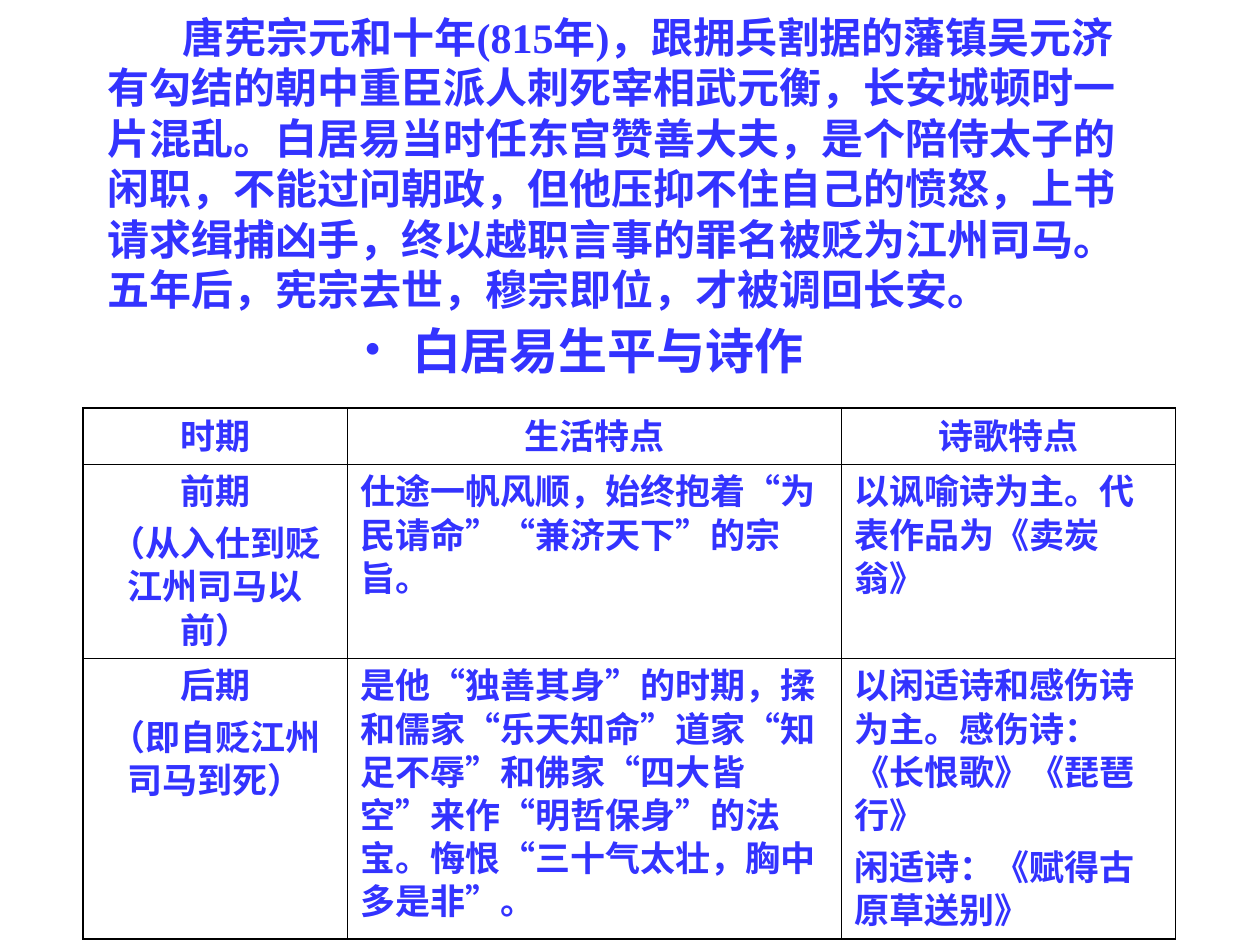
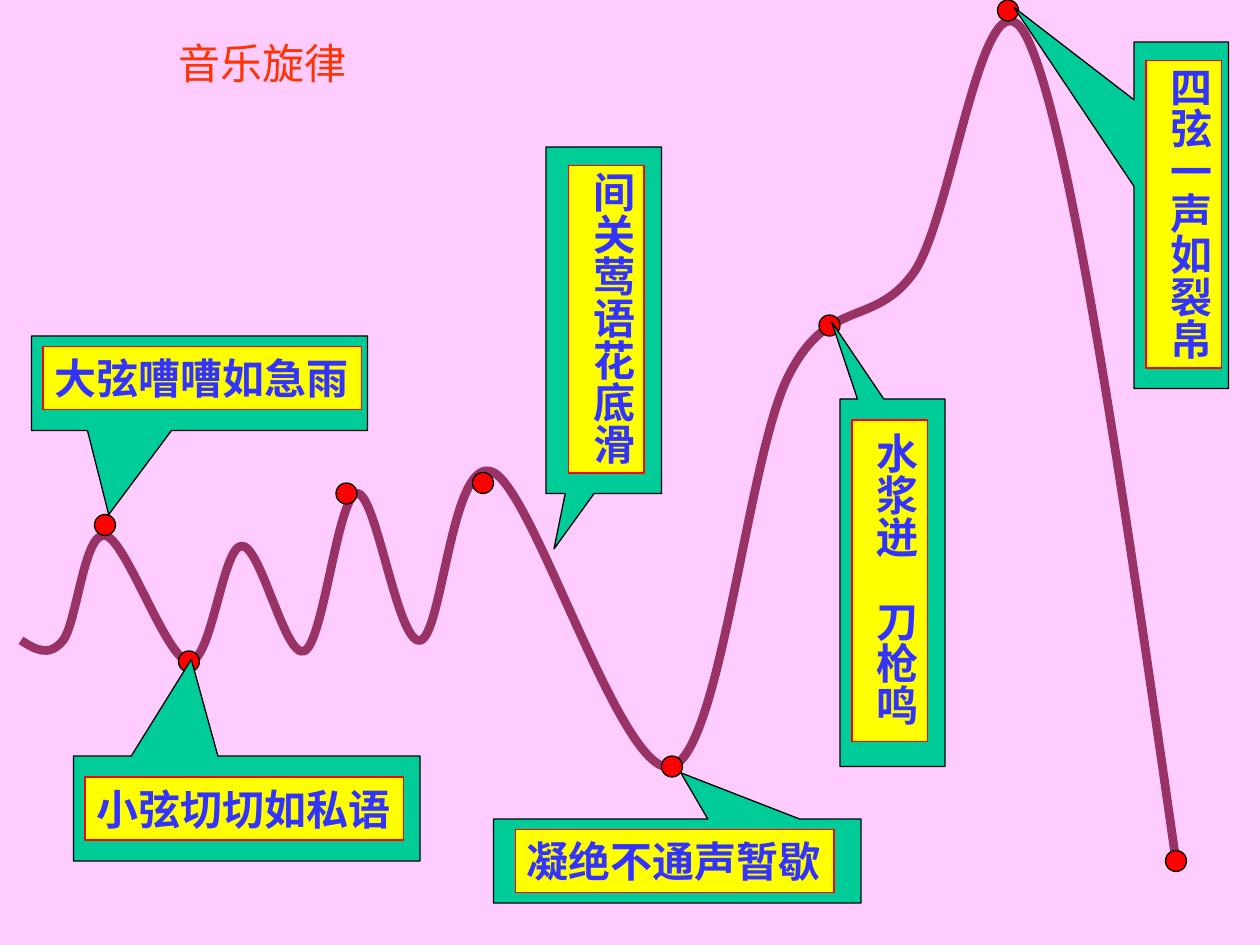
"""Build two slides on the poet's life and the melody of the pipa poem."""
from typing import NamedTuple

from lxml.etree import SubElement
from pptx import Presentation
from pptx.dml.color import RGBColor
from pptx.enum.shapes import MSO_SHAPE
from pptx.enum.text import MSO_ANCHOR, MSO_AUTO_SIZE, PP_ALIGN
from pptx.oxml.ns import qn
from pptx.util import Emu, Inches, Pt

COLUMNS, ROWS = 120, 90
CELL = Inches(10) / COLUMNS
VERSE_LENGTH = 28.2
LATIN, CHINESE = "Times New Roman", "Noto Sans CJK SC"
BLUE, RED, ORANGE, YELLOW = "3333FF", "FF0000", "FF3300", "FFFF00"
GREEN, PLUM, PINK, BLACK = "00CC99", "993366", "FFCCFF", "000000"
THIN, THICK = 0.45, 1.08


class Box(NamedTuple):
    """A rectangle in grid columns and rows."""
    left: float
    top: float
    width: float
    height: float


class Verse(NamedTuple):
    """A quoted line with its callout, pointer and label box."""
    text: str
    callout: Box
    pointer: tuple[float, float]
    label: Box
    vertical: bool = False


STORY = (
    "唐宪宗元和十年(815年)，跟拥兵割据的藩镇吴元济有勾结的朝中重臣派人刺死宰相武元衡，"
    "长安城顿时一片混乱。白居易当时任东宫赞善大夫，是个陪侍太子的闲职，不能过问朝政，"
    "但他压抑不住自己的愤怒，上书请求缉捕凶手，终以越职言事的罪名被贬为江州司马。"
    "五年后，宪宗去世，穆宗即位，才被调回长安。"
)
PERIODS = [
    ["时期", "生活特点", "诗歌特点"],
    ["前期\n（从入仕到贬江州司马以前）",
     "仕途一帆风顺，始终抱着“为民请命”“兼济天下”的宗旨。",
     "以讽喻诗为主。代表作品为《卖炭翁》"],
    ["后期\n（即自贬江州司马到死）",
     "是他“独善其身”的时期，揉和儒家“乐天知命”道家“知足不辱”和佛家“四大皆空”"
     "来作“明哲保身”的法宝。悔恨“三十气太壮，胸中多是非”。",
     "以闲适诗和感伤诗为主。感伤诗：《长恨歌》《琵琶行》\n闲适诗：《赋得古原草送别》"],
]
PERIOD_WIDTHS, PERIOD_HEIGHTS = (2.1, 3.92, 2.65), (0.43, 1.54, 2.23)

MELODY = [(2, 61), (6, 61), (10, 51), (18, 63), (23, 52), (29, 62), (34, 47),
          (40, 61), (47, 45), (64, 73), (75, 36), (87, 26), (98, 4), (112, 82)]
NOTES = [(9, 49), (32, 46), (45, 45), (63, 72), (78, 30), (95, 0), (111, 81), (17, 62)]
VERSES = [
    Verse("大弦嘈嘈如急雨", Box(3, 32, 32, 9), (-0.27, 1.39), Box(4.1, 33, 30.35, 6)),
    Verse("小弦切切如私语", Box(7, 72, 33, 10), (-0.16, -1.42), Box(8.1, 74, 30.35, 6)),
    Verse("间关莺语花底滑", Box(52, 14, 11, 33), (-0.43, 0.66),
          Box(54.15, 15.75, 7.2, 29.3), True),
    Verse("凝绝不通声暂歇", Box(47, 78, 35, 8), (0.01, -1.05), Box(49.1, 79, 30.35, 6)),
    Verse("水浆迸　刀枪鸣", Box(80, 38, 10, 35), (-0.58, -0.71),
          Box(81.15, 40, 7.2, 30.6), True),
    Verse("四弦一声如裂帛", Box(108, 4, 9, 33), (-1.77, -0.6),
          Box(109.15, 5.75, 7.2, 29.3), True),
]


def color(value: str) -> RGBColor:
    """Turn a hex string into a colour."""
    return RGBColor.from_string(value)


def place(box: Box) -> list[Emu]:
    """Turn a grid box into left, top, width and height."""
    return [Emu(round(length * CELL)) for length in box]


def write_text(frame, text: str, *, size: float = 24, fill: str = BLUE, bold: bool = True,
               latin: str = LATIN, align=PP_ALIGN.LEFT, anchor=MSO_ANCHOR.TOP,
               spacing: float = 1.0, gap: float = 0, indent: float = 0, hanging: float = 0,
               bullet: str = "") -> None:
    """Write formatted paragraphs, one for each line of the text."""
    if hasattr(frame, "auto_size"):
        frame.word_wrap = True
        frame.auto_size = MSO_AUTO_SIZE.NONE
        frame.vertical_anchor = anchor
    for index, line in enumerate(text.split("\n")):
        paragraph = frame.paragraphs[0] if index == 0 else frame.add_paragraph()
        paragraph.alignment = align
        paragraph.line_spacing = spacing
        paragraph.space_before = Pt(gap if index else 0)
        properties = paragraph._p.get_or_add_pPr()
        properties.set("marL", str(Inches(hanging)))
        properties.set("indent", str(Inches(indent - hanging)))
        properties.set("hangingPunct", "0")
        if bullet:
            SubElement(properties, qn("a:buFont")).set("typeface", latin)
            SubElement(properties, qn("a:buChar")).set("char", bullet)
        run = paragraph.add_run()
        run.text = line
        font = run.font
        font.size, font.bold, font.name = Pt(size), bold, latin
        font.color.rgb = color(fill)
        run_properties = run._r.get_or_add_rPr()
        run_properties.set("lang", "zh-CN")
        SubElement(run_properties, qn("a:ea")).set("typeface", CHINESE)


def set_insets(frame, horizontal: float = 0.1, vertical: float = 0.05) -> None:
    """Set the inner margins of a text frame in inches."""
    frame.margin_left = frame.margin_right = Inches(horizontal)
    frame.margin_top = frame.margin_bottom = Inches(vertical)


def add_title(slide, text: str, box: Box, **text_format) -> None:
    """Move the title placeholder and write the title."""
    title = slide.shapes.title
    title.left, title.top, title.width, title.height = place(box)
    set_insets(title.text_frame)
    write_text(title.text_frame, text, **text_format)


def add_block(slide, kind, box: Box, fill: str, line: str = BLACK):
    """Add a filled and outlined preset shape."""
    shape = slide.shapes.add_shape(kind, *place(box))
    shape.shadow.inherit = False
    shape.fill.solid()
    shape.fill.fore_color.rgb = color(fill)
    shape.line.color.rgb = color(line)
    shape.line.width = Pt(0.75)
    return shape


def set_borders(cell, row: int, column: int, last: int) -> None:
    """Draw thick lines on the table's outside and thin lines inside."""
    outside = {"L": column == 0, "R": column == last, "T": row == 0, "B": row == last}
    properties = cell._tc.get_or_add_tcPr()
    for side, is_outside in outside.items():
        border = SubElement(properties, qn(f"a:ln{side}"))
        border.set("w", str(Pt(THICK if is_outside else THIN)))
        fill = SubElement(border, qn("a:solidFill"))
        SubElement(fill, qn("a:srgbClr")).set("val", BLACK)


def add_periods(slide) -> None:
    """Add the table of the poet's periods."""
    frame = slide.shapes.add_table(
        len(PERIODS), len(PERIOD_WIDTHS), Inches(0.66), Inches(3.24),
        Inches(sum(PERIOD_WIDTHS)), Inches(sum(PERIOD_HEIGHTS)))
    table = frame.table
    table.first_row = table.horz_banding = False
    for column, width in zip(table.columns, PERIOD_WIDTHS):
        column.width = Inches(width)
    for row, height in zip(table.rows, PERIOD_HEIGHTS):
        row.height = Inches(height)
    for row, texts in enumerate(PERIODS):
        for column, text in enumerate(texts):
            cell = table.cell(row, column)
            set_borders(cell, row, column, len(texts) - 1)
            cell.fill.background()
            set_insets(cell)
            centred = row == 0 or column == 0
            write_text(cell.text_frame, text, size=20, spacing=0.85, gap=5,
                       align=PP_ALIGN.CENTER if centred else PP_ALIGN.LEFT)


def add_handles(points: list[tuple[float, float]]) -> list[tuple[float, ...]]:
    """Return the points with two curve handles between each pair."""
    def handle(index: int, sign: int) -> tuple[float, ...]:
        before, after = points[index - 1], points[index + 1]
        return tuple(p + sign * (a - b) / 6 for p, a, b in zip(points[index], after, before))

    def middle(first, second) -> tuple[float, ...]:
        return tuple((a + b) / 2 for a, b in zip(first, second))

    last = len(points) - 1
    curve = [points[0]]
    for index in range(last):
        end = points[index + 1]
        leaving = handle(index, 1) if index else middle(points[0], handle(1, -1))
        arriving = handle(index + 1, -1) if index + 1 < last else middle(leaving, end)
        curve += [leaving, arriving, end]
    return curve


def add_melody(slide) -> None:
    """Draw the melody as one smooth curve."""
    points = [(x * CELL, y * CELL) for x, y in add_handles(MELODY)]
    builder = slide.shapes.build_freeform(*points[0])
    builder.add_line_segments(points[1:], close=False)
    curve = builder.convert_to_shape()
    outline = next(curve._element.iter(qn("a:path")))
    segments = outline.findall(qn("a:lnTo"))
    for start in range(0, len(segments), 3):
        bezier = SubElement(outline, qn("a:cubicBezTo"))
        for segment in segments[start:start + 3]:
            bezier.append(segment[0])
            outline.remove(segment)
    curve.shadow.inherit = False
    curve.fill.background()
    curve.line.color.rgb = color(PLUM)
    curve.line.width = Pt(5)


def add_verse(slide, verse: Verse) -> None:
    """Add a callout with its yellow label."""
    callout = add_block(slide, MSO_SHAPE.RECTANGULAR_CALLOUT, verse.callout, GREEN)
    for index, share in enumerate(verse.pointer):
        callout.adjustments[index] = share
    label = add_block(slide, MSO_SHAPE.RECTANGLE, verse.label, YELLOW, RED)
    length = verse.label.height if verse.vertical else verse.label.width
    margin = (length - VERSE_LENGTH) / 2 * CELL / Inches(1)
    if verse.vertical:
        set_insets(label.text_frame, 0.05, margin)
        label.text_frame._txBody.bodyPr.set("vert", "eaVert")
    else:
        set_insets(label.text_frame, margin, 0.05)
    write_text(label.text_frame, verse.text)


def build_life(slide) -> None:
    """Build the slide on the poet's life."""
    add_title(slide, STORY, Box(9, 8, 102, 15), anchor=MSO_ANCHOR.MIDDLE, indent=0.6)
    heading = slide.shapes.add_textbox(*place(Box(33.5, 29.9, 50, 7.5)))
    set_insets(heading.text_frame)
    write_text(heading.text_frame, "白居易生平与诗作", size=28, hanging=0.38, bullet="•")
    add_periods(slide)


def build_melody(slide) -> None:
    """Build the slide on the melody."""
    slide.background.fill.solid()
    slide.background.fill.fore_color.rgb = color(PINK)
    add_melody(slide)
    for left, top in NOTES:
        add_block(slide, MSO_SHAPE.OVAL, Box(left, top, 2, 2), RED)
    for verse in VERSES:
        add_verse(slide, verse)
    add_title(slide, "音乐旋律", Box(7, 3, 36, 16), fill=ORANGE, bold=False,
              latin=CHINESE, align=PP_ALIGN.CENTER)


def main() -> None:
    """Build and save the presentation."""
    presentation = Presentation()
    presentation.slide_width = Emu(round(COLUMNS * CELL))
    presentation.slide_height = Emu(round(ROWS * CELL))
    for build in (build_life, build_melody):
        build(presentation.slides.add_slide(presentation.slide_layouts[5]))
    presentation.save("out.pptx")


if __name__ == "__main__":
    main()
